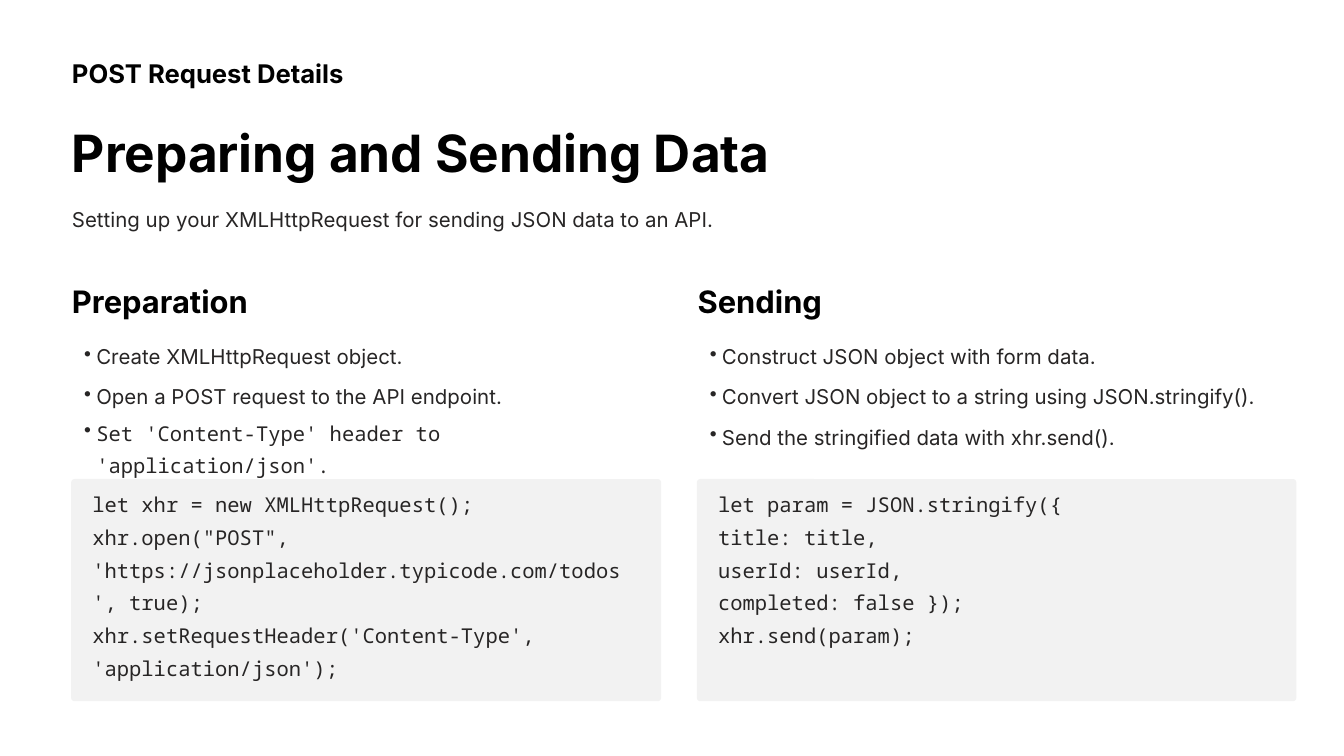
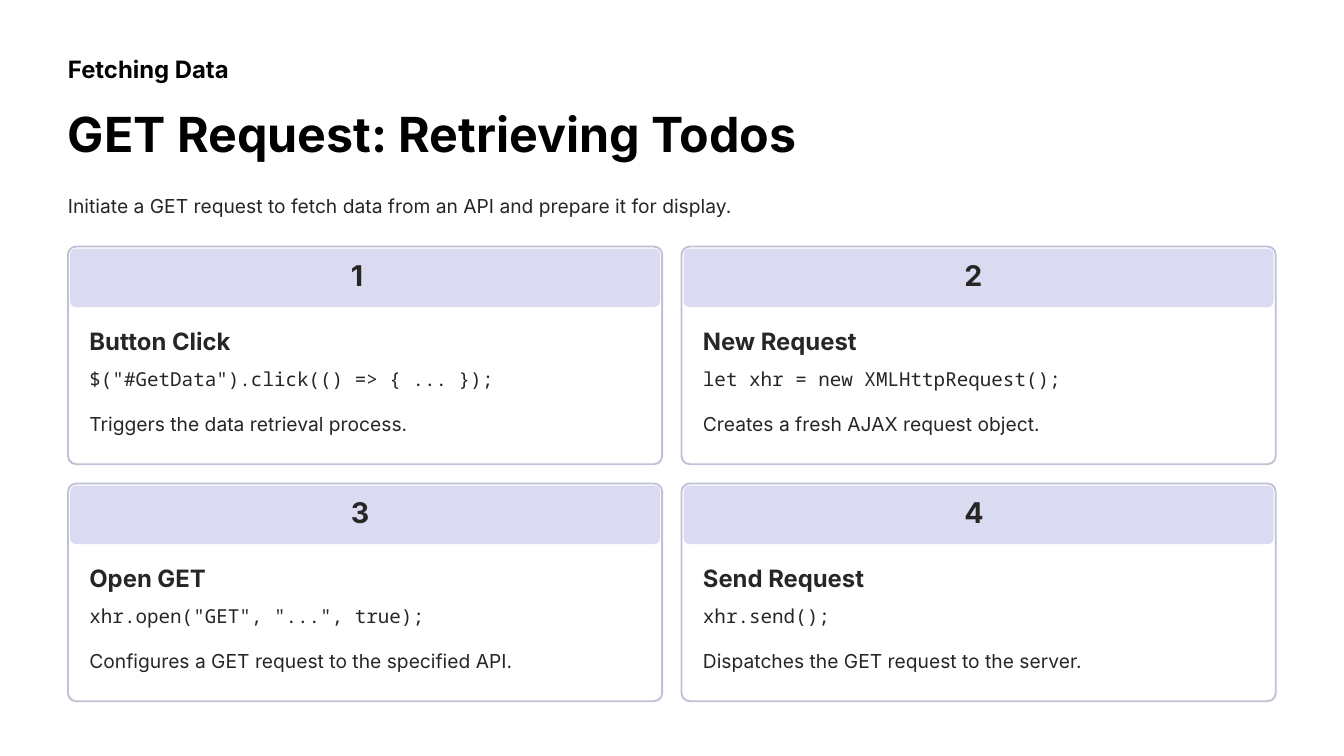
import pptx
import pptx.util
import pptx.dml.color
import pptx.enum.shapes
import pptx.enum.text
import pptx.oxml
import lxml.etree
from pptx.util import Cm

COLORS = {"bg": "FFFFFF", "title": "000000", "body": "272525",
          "code": "F2F2F2", "border": "C0C1D7", "band": "DADBF1"}
SANS, MONO = "Inter", "Noto Sans Mono"
rgb = {name: pptx.dml.color.RGBColor.from_string(c) for name, c in COLORS.items()}

prs = pptx.Presentation()
prs.slide_width, prs.slide_height = Cm(50.8), Cm(28.58)


def add_text(s, x, y, w, h, lines, size, leading, font=SANS, color="body",
             bold=False, bullet=False):
    """Text box without margins, one paragraph per line, exact line spacing."""
    tf = s.shapes.add_textbox(Cm(x), Cm(y), Cm(w), Cm(h)).text_frame
    tf.word_wrap = True
    tf.auto_size = pptx.enum.text.MSO_AUTO_SIZE.SHAPE_TO_FIT_TEXT
    tf.margin_left = tf.margin_top = tf.margin_right = tf.margin_bottom = 0
    for i, line in enumerate(lines):
        p = tf.paragraphs[0] if i == 0 else tf.add_paragraph()
        p.line_spacing = pptx.util.Pt(leading)
        if bullet:
            pPr = p._p.get_or_add_pPr()
            pPr.set("marL", str(Cm(0.92)))
            pPr.set("indent", str(-Cm(0.46)))
            char = lxml.etree.SubElement(pPr, pptx.oxml.ns.qn("a:buChar"))
            char.set("char", "•")
        r = p.add_run()
        r.text = line
        r.font.name, r.font.size, r.font.bold = font, pptx.util.Pt(size), bold
        r.font.color.rgb = rgb[color]


def add_panel(s, x, y, w, h, radius, fill, line=None):
    """Rounded rectangle with a corner radius in centimetres."""
    sp = s.shapes.add_shape(pptx.enum.shapes.MSO_SHAPE.ROUNDED_RECTANGLE,
                            Cm(x), Cm(y), Cm(w), Cm(h))
    sp.adjustments[0] = radius / h
    sp.shadow.inherit = False
    sp.fill.solid()
    sp.fill.fore_color.rgb = rgb[fill]
    if line:
        sp.line.color.rgb = rgb[line]
        sp.line.width = pptx.util.Pt(2)
    else:
        sp.line.fill.background()


# Headers: text, left, top, width, height, size, leading, colour, bold
headers = [
    [("POST Request Details", 2.72, 2.13, 10.31, 1.22, 27.5, 34.4, "title", True),
     ("Preparing and Sending Data", 2.72, 4.5, 28.78, 2.44, 55, 68.7, "title", True),
     ("Setting up your XMLHttpRequest for sending JSON data to an API.",
      2.72, 7.54, 45.34, 1.24, 21.9, 35, "body", False)],
    [("Fetching Data", 2.57, 2, 9.17, 1.14, 25.6, 32.5, "title", True),
     ("GET Request: Retrieving Todos", 2.57, 3.84, 27.66, 2.29, 51.8, 65, "title", True),
     ("Initiate a GET request to fetch data from an API and prepare it for display.",
      2.57, 7.06, 45.67, 1.17, 20.6, 33.1, "body", False)],
]
slides = []
for header in headers:
    s = prs.slides.add_slide(prs.slide_layouts[6])
    s.background.fill.solid()
    s.background.fill.fore_color.rgb = rgb["bg"]
    for text, x, y, w, h, size, leading, color, bold in header:
        add_text(s, x, y, w, h, [text], size, leading, color=color, bold=bold)
    slides.append(s)

# Slide 1: two columns, each with a heading, bullets and a code panel
columns = [
    (2.72, 22.3, "Preparation",
     [("Create XMLHttpRequest object.", 12.7, SANS),
      ("Open a POST request to the API endpoint.", 14.22, SANS),
      ("Set 'Content-Type' header to 'application/json'.", 15.6, MONO)],
     ["let xhr = new XMLHttpRequest();",
      "xhr.open(\"POST\", 'https://jsonplaceholder.typicode.com/todos', true);",
      "xhr.setRequestHeader('Content-Type', 'application/json');"], 7.42),
    (26.37, 22.66, "Sending",
     [("Construct JSON object with form data.", 12.7, SANS),
      ("Convert JSON object to a string using JSON.stringify().", 14.22, SANS),
      ("Send the stringified data with xhr.send().", 15.75, SANS)],
     ["let param = JSON.stringify({", "title: title,", "userId: userId,",
      "completed: false });", "xhr.send(param);"], 6.17),
]
s = slides[0]
for x, panel_w, heading, bullets, code, code_h in columns:
    add_text(s, x, 10.62, 11.68, 1.45, [heading], 33.1, 41.2, color="title", bold=True)
    for text, y, font in bullets:
        add_text(s, x, y, 21.72, 1.24, [text], 21.9, 35, font, bullet=True)
    add_panel(s, x - 0.03, 18.11, panel_w, 8.4, 0.13, "code")
    add_text(s, x + 0.77, 18.31, 20.24, code_h, code, 21.9, 35, MONO)

# Slide 2: four numbered cards in a two by two grid
steps = [
    ("Button Click", '$("#GetData").click(() => { ... });',
     "Triggers the data retrieval process."),
    ("New Request", "let xhr = new XMLHttpRequest();",
     "Creates a fresh AJAX request object."),
    ("Open GET", 'xhr.open("GET", "...", true);',
     "Configures a GET request to the specified API."),
    ("Send Request", "xhr.send();",
     "Dispatches the GET request to the server."),
]
card_w, card_h, gap = 22.46, 8.23, 0.73
s = slides[1]
for i, (heading, code, note) in enumerate(steps):
    row, col = divmod(i, 2)
    x, y = 2.57 + col * (card_w + gap), 9.32 + row * (card_h + gap)
    add_panel(s, x, y, card_w, card_h, 0.31, "bg", "border")
    add_panel(s, x + 0.08, y + 0.08, card_w - 0.16, 2.21, 0.22, "band")
    add_text(s, x + 10.69, y + 0.64, 1.09, 1.09, [str(i + 1)], 30.6, 30.6, bold=True)
    add_text(s, x + 0.81, y + 2.97, 9.17, 1.14, [heading], 25.6, 32.5, bold=True)
    add_text(s, x + 0.81, y + 4.27, 20.83, 1.17, [code], 20.6, 33.1, MONO)
    add_text(s, x + 0.81, y + 5.98, 20.83, 1.17, [note], 20.6, 33.1)

prs.save("out.pptx")
